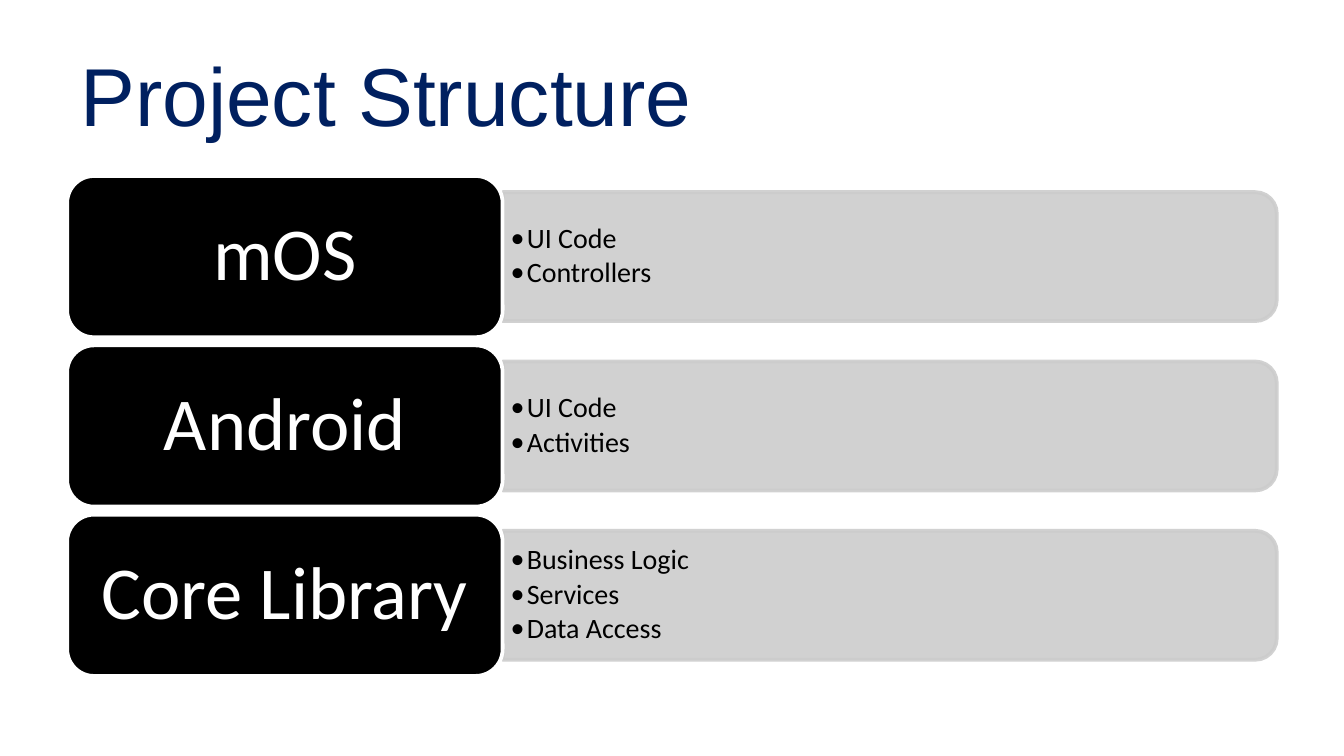
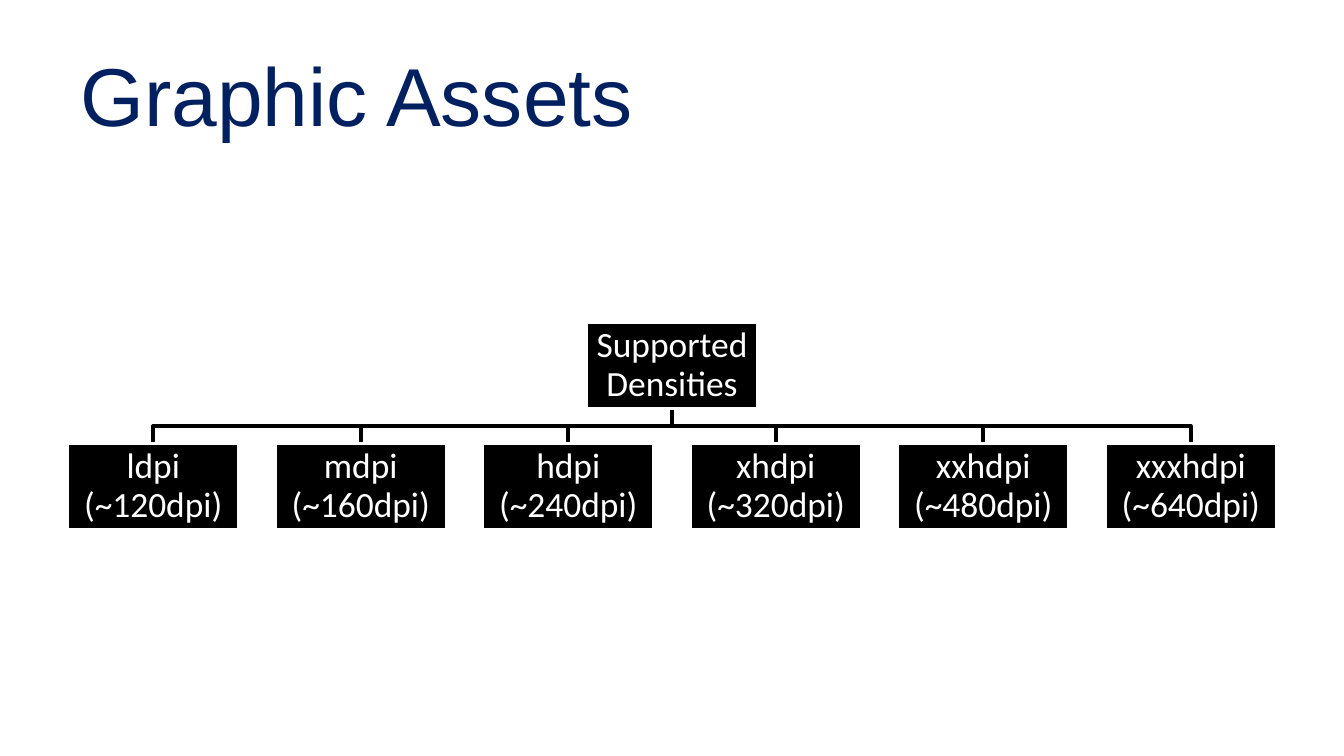
from typing import NamedTuple

from lxml import etree
from pptx import Presentation
from pptx.dml.color import RGBColor
from pptx.enum.shapes import MSO_SHAPE
from pptx.enum.text import MSO_ANCHOR, PP_ALIGN
from pptx.oxml.ns import qn
from pptx.shapes.autoshape import Shape
from pptx.slide import Slide
from pptx.text.text import TextFrame
from pptx.util import Inches, Pt

ROUNDED = MSO_SHAPE.ROUNDED_RECTANGLE
ROUNDED_TOP = MSO_SHAPE.ROUND_2_SAME_RECTANGLE
RECTANGLE = MSO_SHAPE.RECTANGLE
MIDDLE = MSO_ANCHOR.MIDDLE
LEFT = PP_ALIGN.LEFT
CENTER = PP_ALIGN.CENTER

COLORS = {"title": "002060", "box": "000000", "edge": "FFFFFF", "bar": "CCCCCC"}
TITLE_FONT = "Arial"
BODY_FONT = "Calibri"
LINE_WIDTH = Pt(2)
LINE_SPACING = 0.9
SLIDE_WIDTH = Inches(10)
SLIDE_HEIGHT = SLIDE_WIDTH * 9 // 16
MARGIN = 0.5
CONTENT_WIDTH = 9


class Box(NamedTuple):
    left: float
    top: float
    width: float
    height: float

    @property
    def center(self) -> float:
        return self.left + self.width / 2

    @property
    def bottom(self) -> float:
        return self.top + self.height

    def lengths(self) -> list[int]:
        return [Inches(value) for value in self]


class Layer(NamedTuple):
    name: str
    contents: list[str]


LAYERS = [
    Layer("mOS", ["UI Code", "Controllers"]),
    Layer("Android", ["UI Code", "Activities"]),
    Layer("Core Library", ["Business Logic", "Services", "Data Access"]),
]
LAYER_TOP = 1.31
LAYER_PITCH = 1.26
CARD_WIDTH = 3.24
CARD_HEIGHT = 1.2
BAR_HEIGHT = 0.96

DENSITIES = {
    "ldpi": 120,
    "mdpi": 160,
    "hdpi": 240,
    "xhdpi": 320,
    "xxhdpi": 480,
    "xxxhdpi": 640,
}
NODE_WIDTH = 1.28
NODE_HEIGHT = 0.64
ROOT_TOP = 2.4
LEAF_TOP = 3.3


def rgb(name: str) -> RGBColor:
    return RGBColor.from_string(COLORS[name])


def prepare_frame(frame: TextFrame, inset_x: float, inset_y: float) -> None:
    frame.word_wrap = True
    frame.vertical_anchor = MIDDLE
    frame.margin_left = frame.margin_right = Inches(inset_x)
    frame.margin_top = frame.margin_bottom = Inches(inset_y)


def add_title(slide: Slide, text: str) -> None:
    title = slide.shapes.add_textbox(*Box(MARGIN, 0.23, CONTENT_WIDTH, 0.94).lengths())
    prepare_frame(title.text_frame, 0.1, 0.05)
    paragraph = title.text_frame.paragraphs[0]
    paragraph.text = text
    paragraph.alignment = LEFT
    paragraph.font.name = TITLE_FONT
    paragraph.font.size = Pt(44)
    paragraph.font.color.rgb = rgb("title")


def add_filled(slide: Slide, kind: MSO_SHAPE, box: Box, fill: str, edge: str) -> Shape:
    shape = slide.shapes.add_shape(kind, *box.lengths())
    shape.shadow.inherit = False
    shape.fill.solid()
    shape.fill.fore_color.rgb = rgb(fill)
    shape.line.color.rgb = rgb(edge)
    shape.line.width = LINE_WIDTH
    return shape


def add_label_box(
    slide: Slide, kind: MSO_SHAPE, box: Box, text: str, size: int, inset_x: float, inset_y: float
) -> None:
    shape = add_filled(slide, kind, box, "box", "edge")
    prepare_frame(shape.text_frame, inset_x, inset_y)
    paragraph = shape.text_frame.paragraphs[0]
    paragraph.text = text
    paragraph.alignment = CENTER
    paragraph.line_spacing = LINE_SPACING
    paragraph.font.name = BODY_FONT
    paragraph.font.size = Pt(size)
    paragraph.font.color.rgb = rgb("edge")


def add_bar(slide: Slide, box: Box) -> None:
    upright = Box(
        box.center - box.height / 2,
        box.top + (box.height - box.width) / 2,
        box.height,
        box.width,
    )
    bar = add_filled(slide, ROUNDED_TOP, upright, "bar", "bar")
    bar.rotation = 90
    for color in bar.element.spPr.iter(qn("a:srgbClr")):
        etree.SubElement(color, qn("a:alpha"), val="90000")


def add_bullets(slide: Slide, box: Box, items: list[str]) -> None:
    frame = slide.shapes.add_textbox(*box.lengths()).text_frame
    prepare_frame(frame, 0.06, 0.03)
    for index, item in enumerate(items):
        paragraph = frame.add_paragraph() if index else frame.paragraphs[0]
        paragraph.text = item
        paragraph.alignment = LEFT
        paragraph.level = 1
        paragraph.line_spacing = LINE_SPACING
        paragraph.space_after = Pt(2.25)
        properties = paragraph._p.get_or_add_pPr()
        properties.set("marL", str(Inches(0.12)))
        properties.set("indent", str(Inches(-0.12)))
        etree.SubElement(properties, qn("a:buFont"), typeface=BODY_FONT)
        etree.SubElement(properties, qn("a:buChar"), char="•")
        paragraph.font.name = BODY_FONT
        paragraph.font.size = Pt(15)
        paragraph.font.color.rgb = rgb("box")


def add_layer(slide: Slide, top: float, layer: Layer) -> None:
    bar_left = MARGIN + CARD_WIDTH
    bar_width = CONTENT_WIDTH - CARD_WIDTH
    bar_top = top + (CARD_HEIGHT - BAR_HEIGHT) / 2
    add_bar(slide, Box(bar_left, bar_top, bar_width, BAR_HEIGHT))
    text_box = Box(bar_left, bar_top + 0.05, bar_width - 0.05, BAR_HEIGHT - 0.1)
    add_bullets(slide, text_box, layer.contents)
    card = Box(MARGIN, top, CARD_WIDTH, CARD_HEIGHT)
    add_label_box(slide, ROUNDED, card, layer.name, 40, 0.17, 0.08)


def add_branch(slide: Slide, root: Box, leaf: Box) -> None:
    middle = (root.bottom + leaf.top) / 2
    builder = slide.shapes.build_freeform(Inches(root.center), Inches(root.bottom))
    corners = [(root.center, middle), (leaf.center, middle), (leaf.center, leaf.top)]
    builder.add_line_segments([(Inches(x), Inches(y)) for x, y in corners], close=False)
    branch = builder.convert_to_shape()
    branch.shadow.inherit = False
    branch.fill.background()
    branch.line.color.rgb = rgb("box")
    branch.line.width = LINE_WIDTH


def build_project_structure(slide: Slide) -> None:
    add_title(slide, "Project Structure")
    for index, layer in enumerate(LAYERS):
        add_layer(slide, LAYER_TOP + index * LAYER_PITCH, layer)


def build_graphic_assets(slide: Slide) -> None:
    add_title(slide, "Graphic Assets")
    root = Box(MARGIN + (CONTENT_WIDTH - NODE_WIDTH) / 2, ROOT_TOP, NODE_WIDTH, NODE_HEIGHT)
    pitch = (CONTENT_WIDTH - NODE_WIDTH) / (len(DENSITIES) - 1)
    leaves = [
        Box(MARGIN + index * pitch, LEAF_TOP, NODE_WIDTH, NODE_HEIGHT)
        for index in range(len(DENSITIES))
    ]
    for leaf in leaves:
        add_branch(slide, root, leaf)
    labels = [f"{name} (~{dpi}dpi)" for name, dpi in DENSITIES.items()]
    for box, label in zip([root, *leaves], ["Supported Densities", *labels]):
        add_label_box(slide, RECTANGLE, box, label, 19, 0.01, 0.01)


def main() -> None:
    presentation = Presentation()
    presentation.slide_width = SLIDE_WIDTH
    presentation.slide_height = SLIDE_HEIGHT
    blank = presentation.slide_layouts[6]
    for build in (build_project_structure, build_graphic_assets):
        build(presentation.slides.add_slide(blank))
    presentation.save("out.pptx")


if __name__ == "__main__":
    main()
